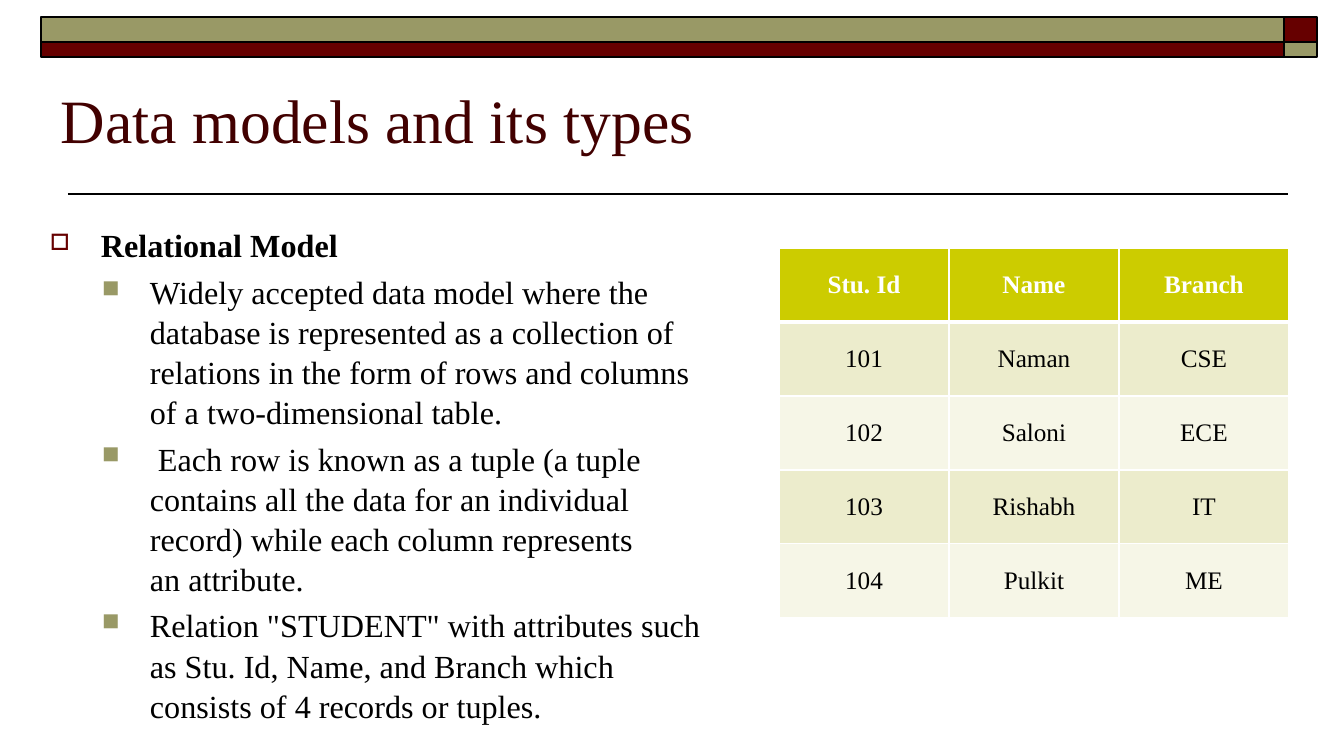
from lxml.etree import SubElement
from pptx import Presentation
from pptx.dml.color import RGBColor
from pptx.enum.shapes import MSO_CONNECTOR as CONN, MSO_SHAPE as SHAPE
from pptx.enum.text import MSO_ANCHOR as ANCHOR, PP_ALIGN as ALIGN
from pptx.oxml.ns import qn
from pptx.util import Inches, Pt

FONT = "Times New Roman"
BLACK = RGBColor(0x00, 0x00, 0x00)
WHITE = RGBColor(0xFF, 0xFF, 0xFF)
MAROON = RGBColor(0x66, 0x00, 0x00)
DARK_MAROON = RGBColor(0x42, 0x00, 0x00)
OLIVE = RGBColor(0x99, 0x99, 0x66)
LIME = RGBColor(0xCC, 0xCC, 0x00)
BANDS = [RGBColor(0xEC, 0xEC, 0xCC), RGBColor(0xF6, 0xF6, 0xE7)]

NBSP = chr(160)
TITLE = "Data models and its types"
HEADING = "Relational Model"
POINTS = [
    "Widely accepted data model where the database is represented as a collection "
    "of relations in the form of rows and columns of a two-dimensional table.",
    f"{NBSP}Each row is known as a tuple (a tuple contains all the data for an "
    f"individual record) while each column represents an{NBSP}attribute.",
    'Relation "STUDENT" with attributes such as Stu. Id, Name, and Branch which '
    "consists of 4 records or tuples.",
]
STUDENTS = [
    ("Stu. Id", "Name", "Branch"),
    ("101", "Naman", "CSE"),
    ("102", "Saloni", "ECE"),
    ("103", "Rishabh", "IT"),
    ("104", "Pulkit", "ME"),
]

# Banner grid: (start, length) of each column and row
BANNER_COLS = [(41, 1243), (1284, 33)]
BANNER_ROWS = [(17, 25), (42, 15)]
COL_W, ROW_H = 170, 74


def px(n):
    return round(n * Inches(1) / 100.8)


def add_text(p, text, size, color=BLACK, bold=False, align=ALIGN.LEFT):
    p.alignment = align
    r = p.add_run()
    r.text = text
    r.font.name, r.font.size, r.font.bold = FONT, Pt(size), bold
    r.font.color.rgb = color


def add_box(slide, x, y, w, h, anchor=ANCHOR.TOP):
    tf = slide.shapes.add_textbox(px(x), px(y), px(w), px(h)).text_frame
    tf.word_wrap = True
    tf.vertical_anchor = anchor
    return tf


def set_bullet(p, char, color, percent, left, hang):
    pPr = p._p.get_or_add_pPr()
    pPr.set("marL", str(px(left)))
    pPr.set("indent", str(-px(hang)))
    clr = SubElement(pPr, qn("a:buClr"))
    SubElement(clr, qn("a:srgbClr"), val=str(color))
    SubElement(pPr, qn("a:buSzPct"), val=str(percent * 1000))
    SubElement(pPr, qn("a:buChar"), char=char)


def set_borders(cell, **widths):
    """Draw white cell borders; L, R, T and B give widths in points."""
    tcPr = cell._tc.get_or_add_tcPr()
    for side in "LRTB":
        ln = SubElement(tcPr, qn(f"a:ln{side}"), w=str(Pt(widths.get(side, 1))))
        fill = SubElement(ln, qn("a:solidFill"))
        SubElement(fill, qn("a:srgbClr"), val=str(WHITE))


def add_banner(slide):
    for i, (y, h) in enumerate(BANNER_ROWS):
        for j, (x, w) in enumerate(BANNER_COLS):
            s = slide.shapes.add_shape(SHAPE.RECTANGLE, px(x), px(y), px(w), px(h))
            s.shadow.inherit = False
            s.fill.solid()
            s.fill.fore_color.rgb = MAROON if i != j else OLIVE
            s.line.color.rgb = BLACK
            s.line.width = Pt(1)


def add_title(slide):
    tf = add_box(slide, 51, 35, 1210, 126, ANCHOR.BOTTOM)
    add_text(tf.paragraphs[0], TITLE, 44, DARK_MAROON)
    rule = slide.shapes.add_connector(CONN.STRAIGHT, px(68), px(194), px(1288), px(194))
    rule.line.color.rgb = BLACK
    rule.line.width = Pt(1)
    SubElement(rule._element.spPr, qn("a:effectLst"))


def add_body(slide):
    tf = add_box(slide, 40, 219, 676, 461)
    p = tf.paragraphs[0]
    set_bullet(p, "□", MAROON, 70, 51, 51)
    add_text(p, HEADING, 23, bold=True)
    for point in POINTS:
        p = tf.add_paragraph()
        set_bullet(p, "■", OLIVE, 75, 100, 48)
        p.space_before = Pt(4.6)
        add_text(p, point, 23)
    for p in tf.paragraphs:
        p.line_spacing = 1.04


def add_students(slide):
    n_rows, n_cols = len(STUDENTS), len(STUDENTS[0])
    table = slide.shapes.add_table(n_rows, n_cols, px(779), px(248),
                                   px(COL_W * n_cols), px(ROW_H * n_rows)).table
    for col in table.columns:
        col.width = px(COL_W)
    for i, record in enumerate(STUDENTS):
        table.rows[i].height = px(ROW_H)
        header = i == 0
        for j, value in enumerate(record):
            cell = table.cell(i, j)
            set_borders(cell, T=3 if i == 1 else 1, B=3 if header else 1)
            cell.fill.solid()
            cell.fill.fore_color.rgb = LIME if header else BANDS[(i - 1) % 2]
            cell.vertical_anchor = ANCHOR.MIDDLE
            add_text(cell.text_frame.paragraphs[0], value, 18,
                     WHITE if header else BLACK, header, ALIGN.CENTER)


def main():
    prs = Presentation()
    prs.slide_width, prs.slide_height = px(1344), px(756)
    slide = prs.slides.add_slide(prs.slide_layouts[6])
    add_banner(slide)
    add_title(slide)
    add_body(slide)
    add_students(slide)
    prs.save("out.pptx")


if __name__ == "__main__":
    main()
